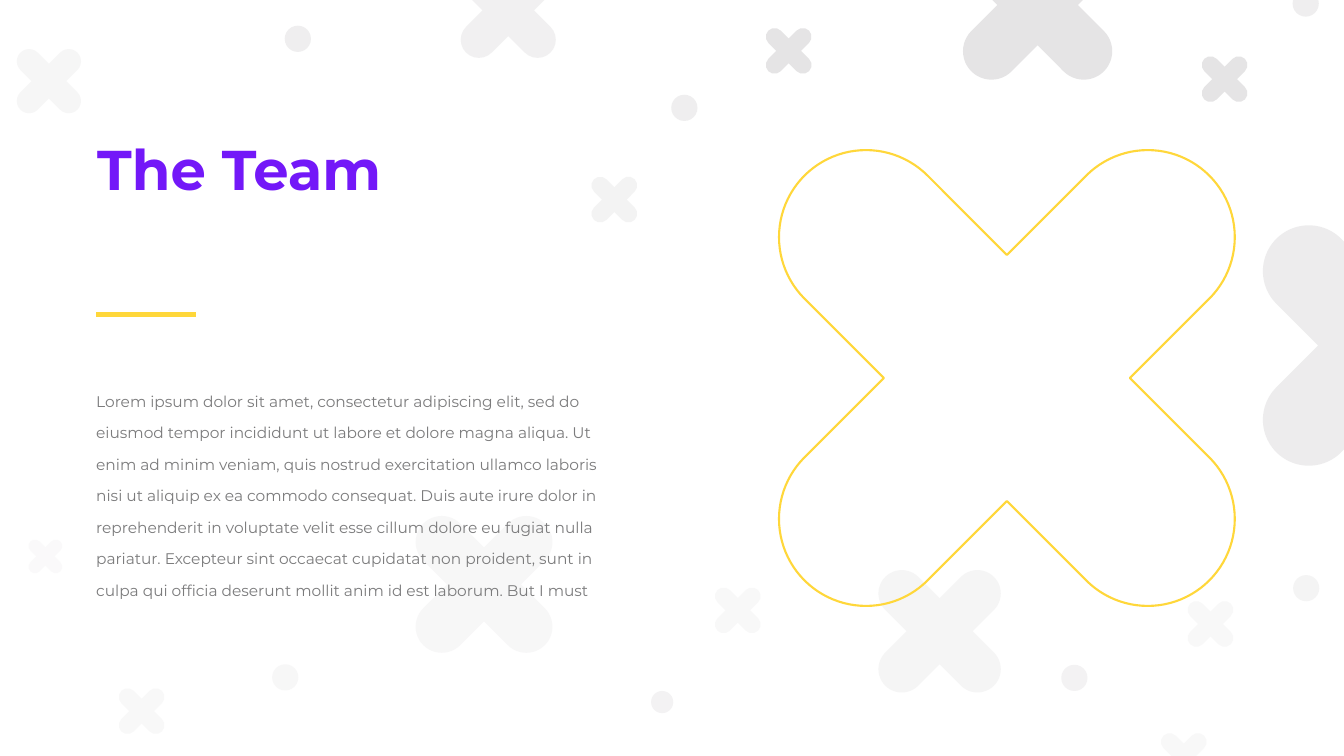
from dataclasses import dataclass
from math import cos, pi, sin, sqrt

from lxml import etree
from pptx import Presentation
from pptx import util as u
from pptx.dml.color import RGBColor
from pptx.enum import shapes, text
from pptx.oxml.ns import qn


@dataclass(frozen=True)
class Theme:
    """Colours, font and type sizes."""
    violet: str = "7318F8"
    yellow: str = "FFD73A"
    gray: str = "E5E4E5"
    ink: str = "7B7B7C"
    font: str = "Montserrat"
    title: int = 80
    body: int = 22
    lead: int = 45


THEME = Theme()

CROSSES = [
    (15.08, 0.44, 1.14, 100), (18.73, -1.76, 3.72, 100),
    (24.45, 3.86, 5.99, 68), (17.12, 11, 3.05, 36),
    (23.45, 11.81, 1.14, 25), (14.07, 11.54, 1.14, 25),
    (11.62, 3.39, 1.14, 44), (23.73, 1, 1.14, 100),
    (8.9, -0.98, 2.37, 52), (7.9, 9.89, 3.41, 29),
    (22.92, 14.43, 1.14, 25), (0.17, 0.81, 1.6, 31),
    (0.48, 10.62, 0.84, 19), (2.24, 13.54, 1.14, 25),
]
DOTS = [
    (13.32, 1.88, 0.52, 61), (25.65, -0.19, 0.52, 61),
    (5.65, 0.51, 0.52, 61), (25.66, 11.41, 0.52, 39),
    (5.4, 13.18, 0.52, 29), (12.92, 13.71, 0.44, 46),
    (21.06, 13.19, 0.52, 46),
]
BODY = (
    "Lorem ipsum dolor sit amet, consectetur adipiscing elit, sed do "
    "eiusmod tempor incididunt ut labore et dolore magna aliqua. Ut enim "
    "ad minim veniam, quis nostrud exercitation ullamco laboris nisi ut "
    "aliquip ex ea commodo consequat. Duis aute irure dolor in "
    "reprehenderit in voluptate velit esse cillum dolore eu fugiat nulla "
    "pariatur. Excepteur sint occaecat cupidatat non proident, sunt in "
    "culpa qui officia deserunt mollit anim id est laborum. But I must"
)


def tint(shape, alpha):
    """Fill a shape with gray at the given opacity, without a line."""
    shape.shadow.inherit = False
    shape.line.fill.background()
    shape.fill.solid()
    shape.fill.fore_color.rgb = RGBColor.from_string(THEME.gray)
    if alpha < 100:
        clr = shape._element.spPr.find(qn("a:solidFill"))[0]
        etree.SubElement(clr, qn("a:alpha"), val=str(alpha * 1000))


def bend(shape, rad):
    """Turn the two edges around each arm end into quarter arcs."""
    edges = list(shape._element.iter(qn("a:lnTo")))
    for num, edge in enumerate(edges):
        side, part = divmod(num, 4)
        if part < 2:
            arc = etree.Element(qn("a:arcTo"), wR=str(rad), hR=str(rad),
                                stAng=str((side + part - 1) % 4 * 5400000),
                                swAng="5400000")
            edge.getparent().replace(edge, arc)


def cross(group, left, top, size):
    """Draw a round-ended plus in a square box and turn it into an X."""
    rad = 0.152 * size
    arm = size / 2 - rad
    mid_x, mid_y = left + size / 2, top + size / 2
    pts = []
    for side in range(4):
        c, s = cos(side * pi / 2), sin(side * pi / 2)
        notch = rad * sqrt(2)
        turn = side * pi / 2 + pi / 4
        pts += [(arm * c + rad * s, arm * s - rad * c),
                ((arm + rad) * c, (arm + rad) * s),
                (arm * c - rad * s, arm * s + rad * c),
                (notch * cos(turn), notch * sin(turn))]
    pts = [(u.Inches(mid_x + x), u.Inches(mid_y + y)) for x, y in pts]
    path = group.build_freeform(*pts[0])
    path.add_line_segments(pts[1:], close=True)
    shape = path.convert_to_shape()
    bend(shape, u.Inches(rad))
    shape.rotation = 135
    return shape


def dot(group, left, top, size):
    """Draw a circle in a square box."""
    return group.add_shape(shapes.MSO_SHAPE.OVAL,
                           *map(u.Inches, (left, top, size, size)))


def frame(group, left, top, size):
    """Draw the large outlined cross."""
    shape = cross(group, left, top, size)
    shape.shadow.inherit = False
    shape.fill.background()
    shape.line.color.rgb = RGBColor.from_string(THEME.yellow)
    shape.line.width = u.Pt(3)


def write(group, box, words, size, color, bold=False, lead=None):
    """Place one paragraph of text in a box."""
    area = group.add_textbox(*map(u.Inches, box)).text_frame
    area.word_wrap = True
    area.auto_size = text.MSO_AUTO_SIZE.SHAPE_TO_FIT_TEXT
    area.margin_left = area.margin_right = u.Inches(0.05)
    area.margin_top = area.margin_bottom = u.Inches(0.05)
    area.text = words
    para = area.paragraphs[0]
    if lead:
        para.line_spacing = u.Pt(lead)
    font = para.runs[0].font
    font.name, font.size, font.bold = THEME.font, u.Pt(size), bold
    font.color.rgb = RGBColor.from_string(color)


def heading(group, left, top, width):
    """Place the title with its short rule below."""
    write(group, (left, top, width, 1.45), "The Team",
          THEME.title, THEME.violet, bold=True)
    start, level = left + 0.03, top + 3.63
    rule = group.add_connector(
        shapes.MSO_CONNECTOR.STRAIGHT,
        *map(u.Inches, (start, level, start + 1.97, level)))
    rule.line.color.rgb = RGBColor.from_string(THEME.yellow)
    rule.line.width = u.Pt(6)
    etree.SubElement(rule._element.spPr, qn("a:effectLst"))


def team(deck):
    """Build the team slide."""
    slide = deck.slides.add_slide(deck.slide_layouts[6])
    group = slide.shapes
    for draw, spots in ((cross, CROSSES), (dot, DOTS)):
        for *box, alpha in spots:
            tint(draw(group, *box), alpha)
    frame(group, 14.3, 1.82, 11.36)
    write(group, (1.86, 7.47, 10.27, 4.44), BODY,
          THEME.body, THEME.ink, lead=THEME.lead)
    heading(group.add_group_shape().shapes, 1.88, 2.61, 9.83)


deck = Presentation()
deck.slide_width, deck.slide_height = u.Inches(26.67), u.Inches(15)
team(deck)
deck.save("out.pptx")
